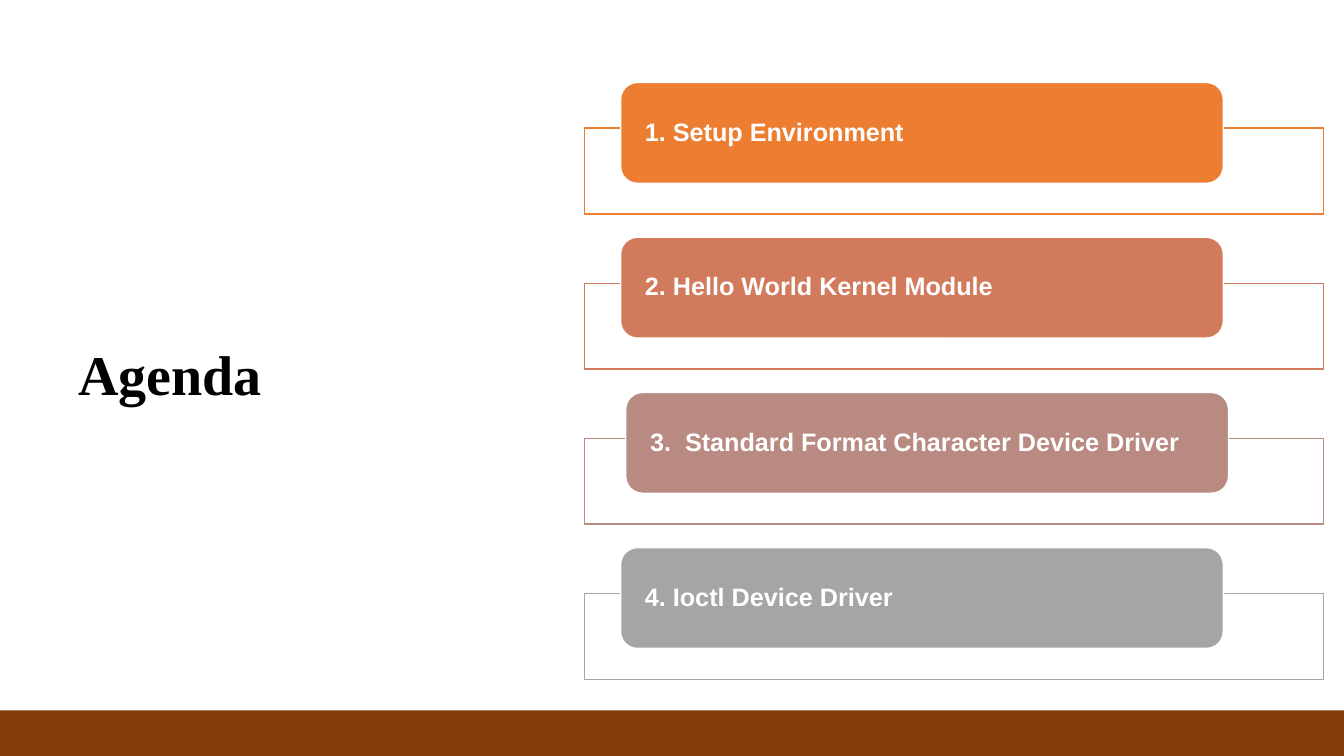
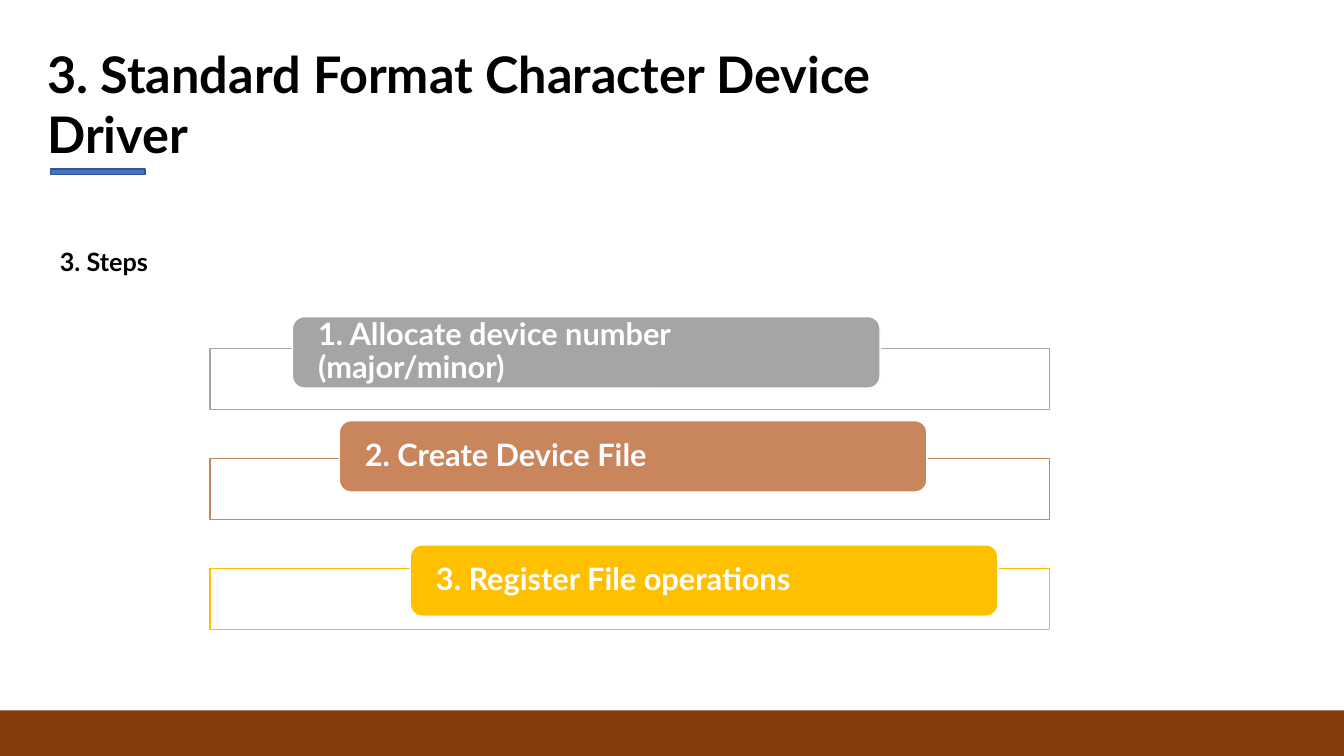
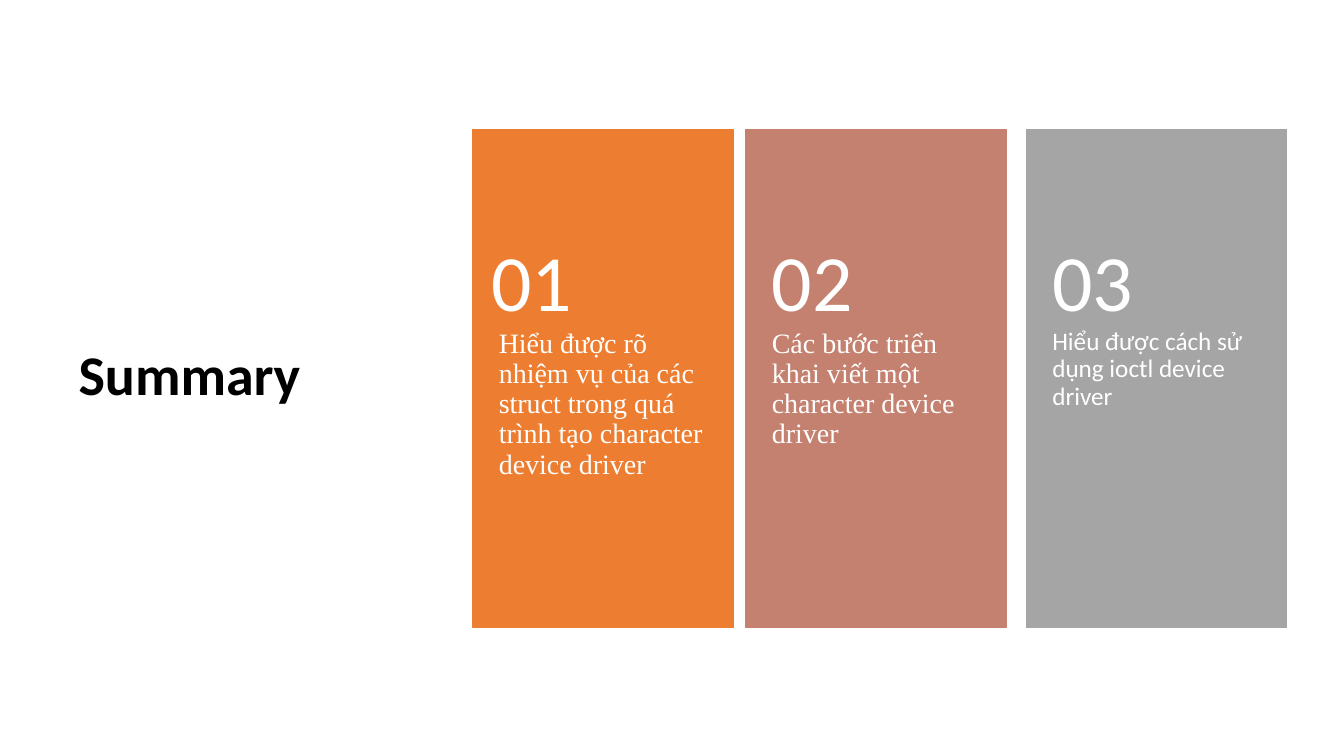
from pptx import Presentation
from pptx.dml.color import RGBColor
from pptx.enum.shapes import MSO_SHAPE
from pptx.enum.text import MSO_ANCHOR, MSO_AUTO_SIZE, PP_ALIGN
from pptx.util import Cm, Pt

RECT, ROUNDED = MSO_SHAPE.RECTANGLE, MSO_SHAPE.ROUNDED_RECTANGLE
TOP, MIDDLE, BOTTOM = MSO_ANCHOR.TOP, MSO_ANCHOR.MIDDLE, MSO_ANCHOR.BOTTOM
LEFT, NO_FIT = PP_ALIGN.LEFT, MSO_AUTO_SIZE.NONE

COLORS = {
    "black": "000000", "white": "FFFFFF", "brown": "843C0B",
    "orange": "ED7D31", "coral": "D17B5C", "rose": "B98A82",
    "gray": "A5A5A5", "copper": "C9855C", "gold": "FFC000",
    "clay": "C48170", "blue": "4472C4", "navy": "325491",
}
SLIDE_WIDTH, SLIDE_HEIGHT = 33.87, 19.05
BAND_TOP = 17.9
SIDE_TITLE = (1.73, 3.23, 10.01, 12.57)


def add_block(slide, preset, place, fill, line=None):
    block = slide.shapes.add_shape(preset, *[Cm(length) for length in place])
    block.shadow.inherit = False
    block.fill.solid()
    block.fill.fore_color.rgb = RGBColor.from_string(COLORS[fill])
    if line:
        block.line.color.rgb = RGBColor.from_string(COLORS[line])
        block.line.width = Pt(1)
    else:
        block.line.fill.background()
    return block


def write(holder, text, font, size, color="white", bold=False, anchor=MIDDLE,
          insets=(0.25, 0.13, 0.25, 0.13), spacing=0.9):
    frame = holder.text_frame
    frame.text = text
    left, top, right, bottom = [Cm(inset) for inset in insets]
    paragraph = frame.paragraphs[0]
    formats = [
        (frame, {"word_wrap": True, "auto_size": NO_FIT, "vertical_anchor": anchor,
                 "margin_left": left, "margin_top": top,
                 "margin_right": right, "margin_bottom": bottom}),
        (paragraph, {"alignment": LEFT, "line_spacing": spacing}),
        (paragraph.runs[0].font, {"name": font, "size": Pt(size), "bold": bold}),
    ]
    for target, values in formats:
        for attribute, value in values.items():
            setattr(target, attribute, value)
    paragraph.runs[0].font.color.rgb = RGBColor.from_string(COLORS[color])


prs = Presentation()
prs.slide_width, prs.slide_height = Cm(SLIDE_WIDTH), Cm(SLIDE_HEIGHT)

# Titles and bottom bands
pages = [
    ("Agenda", SIDE_TITLE, "Times New Roman", 40, MIDDLE, 0.9, True),
    ("3. Standard Format Character Device Driver", (0.94, 1.24, 24.77, 3.02),
     "Lato", 36, BOTTOM, 1.0, True),
    ("Summary", SIDE_TITLE, "Calibri", 40, MIDDLE, 0.9, False),
]
slides = []
for text, place, font, size, anchor, spacing, has_band in pages:
    slide = prs.slides.add_slide(prs.slide_layouts[5])
    title = slide.shapes.title
    title.left, title.top, title.width, title.height = [Cm(length) for length in place]
    write(title, text, font, size, "black", True, anchor, spacing=spacing)
    if has_band:
        add_block(slide, RECT, (0, BAND_TOP, SLIDE_WIDTH, SLIDE_HEIGHT - BAND_TOP), "brown")
    slides.append(slide)
agenda, steps, summary = slides

# Steps: title underline and heading
add_block(steps, RECT, (1.27, 4.26, 2.39, 0.14), "blue", "navy")
heading = steps.shapes.add_textbox(Cm(0.95), Cm(6.17), Cm(13.84), Cm(9.7))
write(heading, "3. Steps", "Lato", 18, "black", True, TOP, (0.56, 0.13, 0.25, 0.13))

# Agenda and steps: outlined frames, each with a filled tab on its upper edge
tab_lists = [
    {"slide": agenda, "frame": (14.73, 3.23, 18.62, 2.16), "pitch": 3.91,
     "tab_size": (15.19, 2.54), "font": "Arial", "size": 18, "inset": 0.49,
     "tabs": [
         ("1. Setup Environment", "orange", 15.64, 2.08),
         ("2. Hello World Kernel Module", "coral", 15.64, 5.98),
         ("3.  Standard Format Character Device Driver", "rose", 15.77, 9.89),
         ("4. Ioctl Device Driver", "gray", 15.64, 13.8)]},
    {"slide": steps, "frame": (5.29, 8.78, 21.16, 1.54), "pitch": 2.77,
     "tab_size": (14.81, 1.8), "font": "Lato", "size": 22, "inset": 0.56,
     "tabs": [
         ("1. Allocate device number (major/minor)", "gray", 7.37, 7.98),
         ("2. Create Device File", "copper", 8.55, 10.6),
         ("3. Register File operations", "gold", 10.34, 13.73)]},
]
for group in tab_lists:
    frame_left, frame_top, frame_width, frame_height = group["frame"]
    for row, (text, color, tab_left, tab_top) in enumerate(group["tabs"]):
        row_top = frame_top + row * group["pitch"]
        add_block(group["slide"], RECT,
                  (frame_left, row_top, frame_width, frame_height), "white", color)
        tab = add_block(group["slide"], ROUNDED,
                        (tab_left, tab_top, *group["tab_size"]), color, "white")
        write(tab, text, group["font"], group["size"], bold=True,
              insets=(group["inset"], 0, group["inset"], 0))

# Summary: numbered cards, with Vietnamese accents as combining marks
CARD_TOP, CARD_WIDTH, CARD_HEIGHT = 3.27, 6.55, 12.55
cards = [
    ("01", 11.92, 11.75, "orange", "Times New Roman", 20,
     "Hi\u00ea\u0309u \u0111\u01b0\u01a1\u0323c ro\u0303 nhi\u00ea\u0323m vu\u0323 "
     "cu\u0309a ca\u0301c struct trong qua\u0301 tri\u0300nh ta\u0323o "
     "character device driver"),
    ("02", 18.8, 18.81, "clay", "Times New Roman", 20,
     "Ca\u0301c b\u01b0\u01a1\u0301c tri\u00ea\u0309n khai vi\u00ea\u0301t m\u00f4\u0323t "
     "character device driver"),
    ("03", 25.87, 25.88, "gray", "Calibri", 18,
     "Hi\u00ea\u0309u \u0111\u01b0\u01a1\u0323c ca\u0301ch s\u01b0\u0309 du\u0323ng "
     "ioctl device driver"),
]
for number, card_left, number_left, color, font, size, lesson in cards:
    card = add_block(summary, RECT, (card_left, CARD_TOP, CARD_WIDTH, CARD_HEIGHT), color, color)
    write(card, lesson, font, size, anchor=TOP, insets=(0.65, 5.02, 0.62, 0.91))
    label = summary.shapes.add_textbox(Cm(number_left), Cm(5.62), Cm(CARD_WIDTH), Cm(3.15))
    write(label, number, "Calibri", 57, insets=(0.64, 0.46, 0.64, 0.46))

prs.save("out.pptx")
